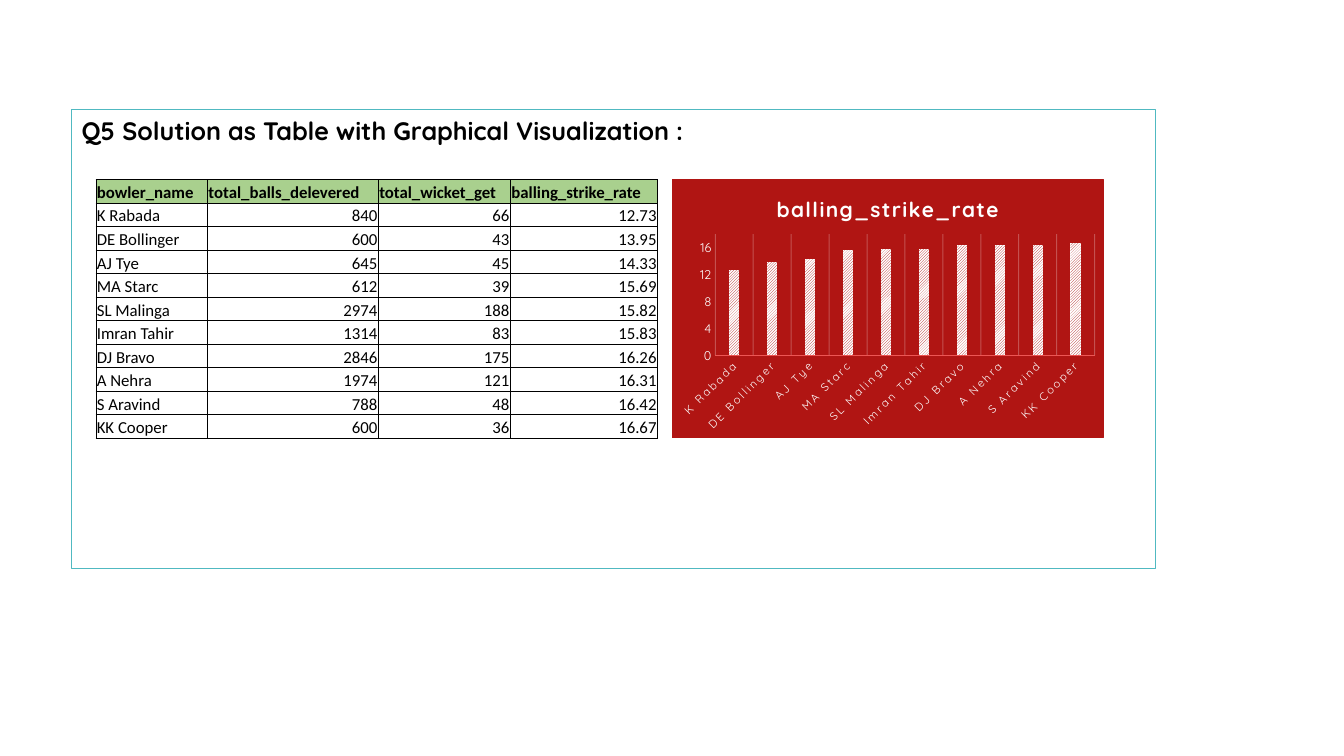
from dataclasses import dataclass
from typing import Any

from lxml import etree
from pptx import Presentation
from pptx import util as u
from pptx.chart.data import CategoryChartData
from pptx.dml.color import RGBColor
from pptx.enum import chart as charts, dml, text
from pptx.oxml import parse_xml
from pptx.oxml.ns import nsdecls, qn

# Grid: one hundred columns by one hundred rows
SLIDE_W, SLIDE_H = u.Inches(13.33), u.Inches(7.5)
RED, WHITE, BLACK = "B01513", "FFFFFF", "000000"


@dataclass
class Area:
    column: float
    row: float
    columns: float
    rows: float

    def box(self) -> tuple[int, int, int, int]:
        return (across(self.column), down(self.row),
                across(self.columns), down(self.rows))


@dataclass
class Field:
    name: str
    columns: float


@dataclass
class Bowler:
    name: str
    balls: int
    wickets: int
    strike_rate: float

    def cells(self) -> list[str]:
        return [self.name, str(self.balls), str(self.wickets), f"{self.strike_rate:.2f}"]


TITLE_AREA = Area(5.33, 14.53, 80.65, 60.67)
TABLE_AREA = Area(7.13, 23.73, 41.8, 34.27)
CHART_AREA = Area(49.98, 23.73, 32.15, 34.27)
FIELDS = [
    Field("bowler_name", 8.31),
    Field("total_balls_delevered", 12.71),
    Field("total_wicket_get", 9.83),
    Field("balling_strike_rate", 10.95),
]
BOWLERS = [
    Bowler("K Rabada", 840, 66, 12.73),
    Bowler("DE Bollinger", 600, 43, 13.95),
    Bowler("AJ Tye", 645, 45, 14.33),
    Bowler("MA Starc", 612, 39, 15.69),
    Bowler("SL Malinga", 2974, 188, 15.82),
    Bowler("Imran Tahir", 1314, 83, 15.83),
    Bowler("DJ Bravo", 2846, 175, 16.26),
    Bowler("A Nehra", 1974, 121, 16.31),
    Bowler("S Aravind", 788, 48, 16.42),
    Bowler("KK Cooper", 600, 36, 16.67),
]


def across(columns: float) -> int:
    return round(SLIDE_W * columns / 100)


def down(rows: float) -> int:
    return round(SLIDE_H * rows / 100)


def colour(value: str) -> RGBColor:
    return RGBColor.from_string(value)


def apply(target: Any, **values: Any) -> None:
    for name, value in values.items():
        setattr(target, name, value)


def style_font(font: Any, name: str, size: float, ink: str, bold: bool = False) -> None:
    apply(font, name=name, size=u.Pt(size), bold=bold)
    font.color.rgb = colour(ink)


def style_line(line: Any, ink: str, width: float) -> None:
    line.color.rgb = colour(ink)
    line.width = u.Pt(width)


def add_title(page: Any) -> None:
    box = page.shapes.title
    left, top, width, height = TITLE_AREA.box()
    apply(box, left=left, top=top, width=width, height=height)
    style_line(box.line, "50B9C1", 0.75)
    apply(box.text_frame, word_wrap=True, auto_size=text.MSO_AUTO_SIZE.NONE,
          vertical_anchor=text.MSO_ANCHOR.TOP)
    para = box.text_frame.paragraphs[0]
    apply(para, alignment=text.PP_ALIGN.LEFT, space_before=u.Pt(10))
    span = para.add_run()
    span.text = "Q5 Solution as Table with Graphical Visualization :"
    style_font(span.font, "Quicksand", 18, BLACK, bold=True)


def add_borders(cell: Any) -> None:
    properties = cell._tc.get_or_add_tcPr()
    for position, side in enumerate(("lnL", "lnR", "lnT", "lnB")):
        properties.insert(position, parse_xml(
            f'<a:{side} {nsdecls("a")} w="6350"><a:solidFill>'
            f'<a:srgbClr val="{BLACK}"/></a:solidFill></a:{side}>'))


def fill_cell(cell: Any, words: str, header: bool, number: bool) -> None:
    apply(cell, vertical_anchor=text.MSO_ANCHOR.BOTTOM, margin_left=u.Inches(0.01),
          margin_right=u.Inches(0.01), margin_top=u.Inches(0.01), margin_bottom=0)
    if header:
        cell.fill.solid()
        cell.fill.fore_color.rgb = colour("A9D08E")
    else:
        cell.fill.background()
    para = cell.text_frame.paragraphs[0]
    para.alignment = text.PP_ALIGN.RIGHT if number else text.PP_ALIGN.LEFT
    span = para.add_run()
    span.text = words
    style_font(span.font, "Calibri", 12, BLACK, bold=header)
    add_borders(cell)


def add_bowler_table(page: Any) -> None:
    rows = [[field.name for field in FIELDS]] + [bowler.cells() for bowler in BOWLERS]
    table = page.shapes.add_table(len(rows), len(FIELDS), *TABLE_AREA.box()).table
    apply(table, first_row=False, horz_banding=False)
    for column, field in zip(table.columns, FIELDS):
        column.width = across(field.columns)
    for r, row in enumerate(rows):
        table.rows[r].height = down(TABLE_AREA.rows / len(rows))
        for c, words in enumerate(row):
            fill_cell(table.cell(r, c), words, header=r == 0, number=r > 0 and c > 0)


def style_axes(chart: Any) -> None:
    names, rates = chart.category_axis, chart.value_axis
    for axis, size in ((names, 8), (rates, 9)):
        apply(axis, major_tick_mark=charts.XL_TICK_MARK.NONE,
              minor_tick_mark=charts.XL_TICK_MARK.NONE)
        style_font(axis.tick_labels.font, "Quicksand", size, WHITE)
    apply(rates, has_major_gridlines=False, minimum_scale=0, maximum_scale=18, major_unit=4)
    rates.format.line.fill.background()
    style_line(names.format.line, "ED5654", 0.25)

    # Faint vertical gridlines and slanted, spaced names
    names.has_major_gridlines = True
    grid = names.major_gridlines
    style_line(grid.format.line, WHITE, 0.75)
    for ink in names._element.find(qn("c:majorGridlines")).iter(qn("a:srgbClr")):
        etree.SubElement(ink, qn("a:alpha")).set("val", "25000")
    labels = names._element.find(qn("c:txPr"))
    labels.find(qn("a:bodyPr")).set("rot", "-2700000")
    next(labels.iter(qn("a:defRPr"))).set("spc", "150")


def add_rate_chart(page: Any) -> None:
    data = CategoryChartData(number_format="General")
    data.categories = [bowler.name for bowler in BOWLERS]
    data.add_series(FIELDS[-1].name, [round(bowler.strike_rate, 1) for bowler in BOWLERS])
    chart = page.shapes.add_chart(
        charts.XL_CHART_TYPE.COLUMN_CLUSTERED, *CHART_AREA.box(), data).chart
    style_font(chart.font, "Quicksand", 10, WHITE)
    apply(chart, has_legend=False, has_title=True)
    span = chart.chart_title.text_frame.paragraphs[0].add_run()
    span.text = FIELDS[-1].name
    style_font(span.font, "Quicksand", 15, WHITE, bold=True)
    span._r.get_or_add_rPr().set("spc", "100")
    style_axes(chart)

    # Hatched columns
    plot = chart.plots[0]
    apply(plot, gap_width=269, overlap=-20, vary_by_categories=False)
    fill = plot.series[0].format.fill
    fill.patterned()
    fill.pattern = dml.MSO_PATTERN.LIGHT_UPWARD_DIAGONAL
    fill.fore_color.rgb, fill.back_color.rgb = colour(RED), colour(WHITE)

    # Red background and plot position
    solid = f'<a:solidFill><a:srgbClr val="{RED}"/></a:solidFill>'
    chart._chartSpace.chart.addnext(parse_xml(
        f'<c:spPr {nsdecls("c", "a")}>{solid}<a:ln w="9525">{solid}</a:ln></c:spPr>'))
    area = chart._chartSpace.chart.plotArea
    for old in area.findall(qn("c:layout")):
        area.remove(old)
    shares = "".join(f'<c:{key} val="{share}"/>' for key, share in
                     {"x": 0.1, "y": 0.21, "w": 0.88, "h": 0.47}.items())
    area.insert(0, parse_xml(
        f'<c:layout {nsdecls("c")}><c:manualLayout><c:layoutTarget val="inner"/>'
        f'<c:xMode val="edge"/><c:yMode val="edge"/>{shares}</c:manualLayout></c:layout>'))


def main() -> None:
    deck = Presentation()
    apply(deck, slide_width=SLIDE_W, slide_height=SLIDE_H)
    page = deck.slides.add_slide(deck.slide_layouts[5])
    add_title(page)
    add_bowler_table(page)
    add_rate_chart(page)
    deck.save("out.pptx")


if __name__ == "__main__":
    main()
